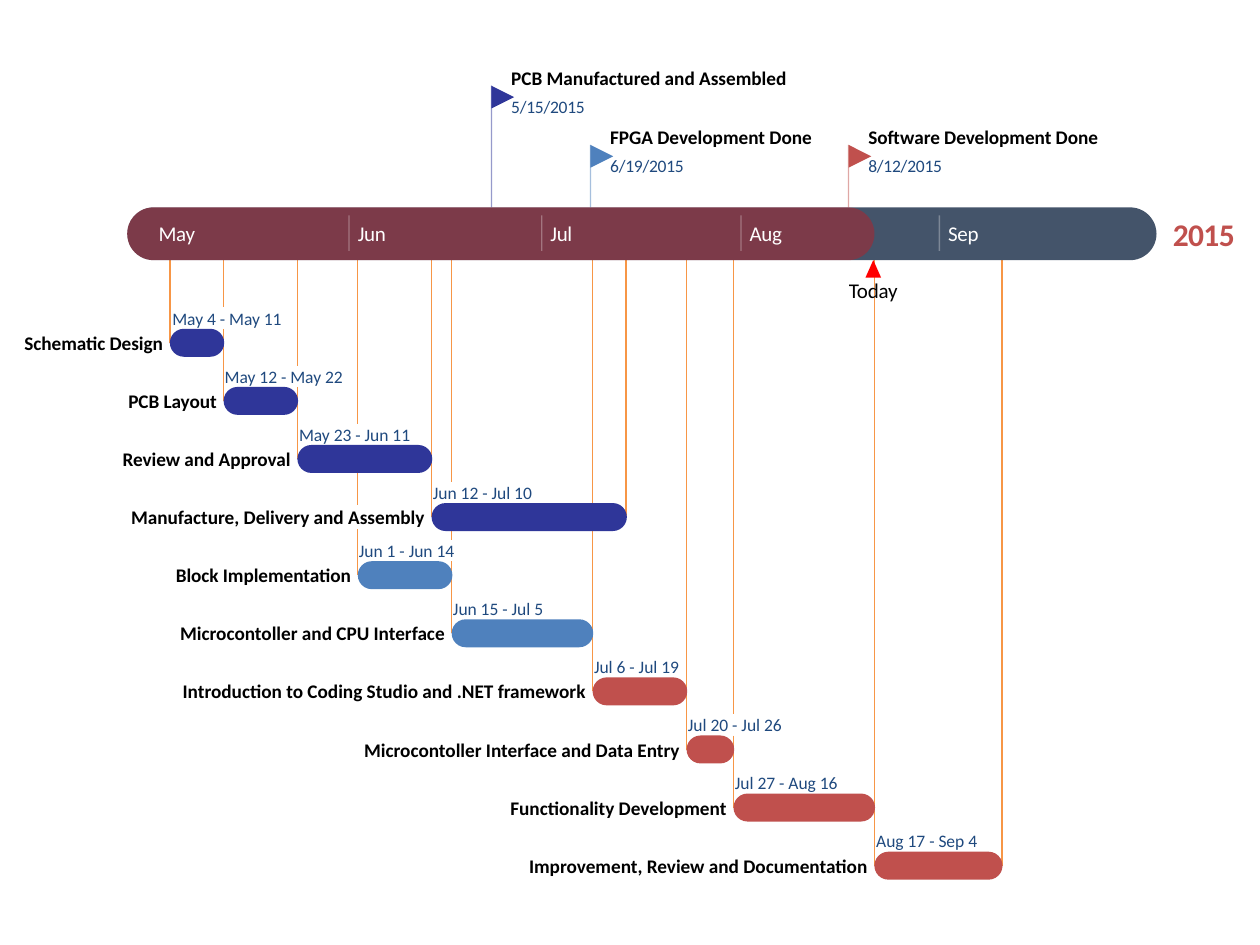
from lxml.etree import SubElement
from pptx import Presentation
from pptx.dml.color import RGBColor
from pptx.enum.shapes import MSO_CONNECTOR, MSO_SHAPE as Shape
from pptx.enum.text import MSO_ANCHOR, PP_ALIGN as Align
from pptx.oxml.ns import qn
from pptx.util import Pt

NAVY = RGBColor(0x2F, 0x36, 0x99)
BLUE = RGBColor(0x4F, 0x81, 0xBD)
BRICK = RGBColor(0xC0, 0x50, 0x4D)
SLATE = RGBColor(0x44, 0x54, 0x6A)
DATE = RGBColor(0x1F, 0x49, 0x7E)
RED = RGBColor(0xFF, 0, 0)
ORANGE = RGBColor(0xF7, 0x96, 0x46)
WHITE = RGBColor(0xFF, 0xFF, 0xFF)
BLACK = RGBColor(0, 0, 0)

BAND_LEFT, BAND_TOP, BAND_HEIGHT = 72.7, 118.5, 30.2
LINE_TOP = 138.2
FIRST_DAY_LEFT, DAY_WIDTH = 97.1, 3.834
ROW_TOP, ROW_STEP, BAR_HEIGHT = 187.9, 33.2, 16
LABEL, TOP, NAME_TOP, MIDDLE, NAME_BOTTOM, BOTTOM = -12.2, 0, 1.2, 8, 14.8, BAR_HEIGHT
TEXT_SLACK = 6


class Timeline:
    """Draws timeline elements on one slide in a shared style."""

    def __init__(self, slide, font="Calibri"):
        self.slide = slide
        self.font = font

    def set_alpha(self, fill, percent):
        color = fill._xPr.find(qn("a:solidFill"))[0]
        SubElement(color, qn("a:alpha")).set("val", str(percent * 1000))

    def line(self, x, top, bottom, color, alpha=100):
        connector = self.slide.shapes.add_connector(
            MSO_CONNECTOR.STRAIGHT, Pt(x), Pt(top), Pt(x), Pt(bottom))
        connector.line.width = Pt(0.75)
        connector.line.color.rgb = color
        if alpha < 100:
            self.set_alpha(connector.line.fill, alpha)
        SubElement(connector._element.spPr, qn("a:effectLst"))

    def shape(self, kind, left, top, width, height, color, alpha=100, rotation=0):
        shape = self.slide.shapes.add_shape(kind, Pt(left), Pt(top), Pt(width), Pt(height))
        shape.shadow.inherit = False
        shape.fill.solid()
        shape.fill.fore_color.rgb = color
        if alpha < 100:
            self.set_alpha(shape.fill, alpha)
        shape.line.fill.background()
        shape.rotation = rotation
        if kind == Shape.ROUNDED_RECTANGLE:
            shape.adjustments[0] = 0.5

    def text(self, text, left, top, width, height, size, color,
             align=Align.LEFT, bold=False, spacing=0):
        box = self.slide.shapes.add_textbox(Pt(left), Pt(top), Pt(width), Pt(height))
        frame = box.text_frame
        frame.margin_left = frame.margin_right = frame.margin_top = frame.margin_bottom = 0
        frame.vertical_anchor = MSO_ANCHOR.MIDDLE
        frame.word_wrap = True
        frame.text = text
        paragraph = frame.paragraphs[0]
        paragraph.alignment = align
        font = paragraph.runs[0].font
        font.name, font.size, font.bold = self.font, Pt(size), bold
        font.color.rgb = color
        if spacing:
            font._element.set("spc", str(spacing))

    def milestone(self, title, date, left, top, width, color, spacing):
        self.text(title, left + 11.3, top - 11.5, width + TEXT_SLACK, 13.7, 11, BLACK,
                  bold=True, spacing=spacing)
        self.text(date, left + 11.3, top + 5.8, 43.9 + TEXT_SLACK, 12.2, 10, DATE, spacing=-10)
        self.shape(Shape.FLOWCHART_MERGE, left, top, 13, 13, color, rotation=270)

    def task(self, row, name, name_width, dates, dates_width, start, end, color, spacing):
        left, top = day_left(start), row_y(row)
        self.shape(Shape.ROUNDED_RECTANGLE, left, top,
                   (end - start) * DAY_WIDTH + 0.4, BAR_HEIGHT, color)
        self.text(dates, left - TEXT_SLACK, top + LABEL, dates_width + TEXT_SLACK + 0.4, 12.2,
                  10, DATE, Align.RIGHT)
        width = name_width + TEXT_SLACK
        self.text(name, left - 3.9 - width, top + NAME_TOP, width, 13.4,
                  11, BLACK, Align.RIGHT, True, spacing)


def day_left(day):
    return FIRST_DAY_LEFT + day * DAY_WIDTH


def row_y(row, offset=0):
    return ROW_TOP + row * ROW_STEP + offset


DROP_LINES = [
    (124, [(9, MIDDLE)]),
    (105, [(9, MIDDLE)]),
    (84, [(7, LABEL), (7, TOP), (8, MIDDLE)]),
    (77, [(7, MIDDLE)]),
    (63, [(3, TOP), (3, BOTTOM), (6, MIDDLE)]),
    (42, [(3, LABEL), (3, BOTTOM), (4, LABEL), (4, TOP), (5, MIDDLE)]),
    (28, [(2, LABEL), (2, BOTTOM), (3, NAME_TOP), (3, NAME_BOTTOM), (4, MIDDLE)]),
    (68, [(3, MIDDLE)]),
    (39, [(3, MIDDLE)]),
    (19, [(1, LABEL), (1, TOP), (2, MIDDLE)]),
    (8, [(0, LABEL), (0, TOP), (1, MIDDLE)]),
    (0, [(0, MIDDLE)]),
]
MILESTONES = [
    ("PCB Manufactured and Assembled", "5/15/2015", 280.8, 49, 157.7, NAVY, -4),
    ("FPGA Development Done", "6/19/2015", 337.4, 82.8, 116, BLUE, -4),
    ("Software Development Done", "8/12/2015", 484.9, 82.8, 131.8, BRICK, -5),
]
MONTHS = [("May", 90.7, 22.3), ("Jun", 204.5, 17.3), ("Jul", 314.6, 13),
          ("Aug", 428.4, 18.7), ("Sep", 541.8, 18)]
TASKS = [
    ("Schematic Design", 80, "May 4 - May 11", 63.4, 0, 8, NAVY, -5),
    ("PCB Layout", 51, "May 12 - May 22", 67.7, 8, 19, NAVY, -5),
    ("Review and Approval", 97, "May 23 - Jun 11", 64, 19, 39, NAVY, -5),
    ("Manufacture, Delivery and Assembly", 169, "Jun 12 - Jul 10", 56.9, 39, 68, NAVY, -4),
    ("Block Implementation", 101, "Jun 1 - Jun 14", 54.7, 28, 42, BLUE, -5),
    ("Microcontoller and CPU Interface", 152, "Jun 15 - Jul 5", 51.8, 42, 63, BLUE, -4),
    ("Introduction to Coding Studio and .NET framework", 227, "Jul 6 - Jul 19", 49,
     63, 77, BRICK, -4),
    ("Microcontoller Interface and Data Entry", 181, "Jul 20 - Jul 26", 54, 77, 84, BRICK, -4),
    ("Functionality Development", 124, "Jul 27 - Aug 16", 59, 84, 105, BRICK, -4),
    ("Improvement, Review and Documentation", 194, "Aug 17 - Sep 4", 58.3,
     105, 124, BRICK, -4),
]

presentation = Presentation()
presentation.slide_width, presentation.slide_height = Pt(720), Pt(540)
timeline = Timeline(presentation.slides.add_slide(presentation.slide_layouts[6]))

for day, stops in DROP_LINES:
    ends = [LINE_TOP] + [row_y(row, offset) for row, offset in stops]
    for top, bottom in zip(ends[::2], ends[1::2]):
        timeline.line(day_left(day), top, bottom, ORANGE)
for title, date, left, top, width, color, spacing in MILESTONES:
    timeline.line(left, top, BAND_TOP, color, 50)

timeline.text("2015", 667.6, 122.4, 40.7, 22.3, 18, BRICK, Align.CENTER, True, -40)
for width, color, alpha in [(588.2, SLATE, 100), (427, RED, 30)]:
    timeline.shape(Shape.ROUNDED_RECTANGLE, BAND_LEFT, BAND_TOP, width, BAND_HEIGHT, color, alpha)
timeline.shape(Shape.ISOSCELES_TRIANGLE, 494.6, 148.6, 8.9, 10, RED)
timeline.text("Today", 482.6, 158.6, 32.8, 14.4, 12, BLACK, Align.CENTER, spacing=-10)

for index, (month, left, width) in enumerate(MONTHS):
    if index:
        timeline.line(left - 5, 123.1, 143.3, WHITE, 30)
    timeline.text(month, left, 126, width + TEXT_SLACK, 14.4, 12, WHITE, spacing=-20)
for milestone in MILESTONES:
    timeline.milestone(*milestone)
for row, task in enumerate(TASKS):
    timeline.task(row, *task)

presentation.save("out.pptx")
